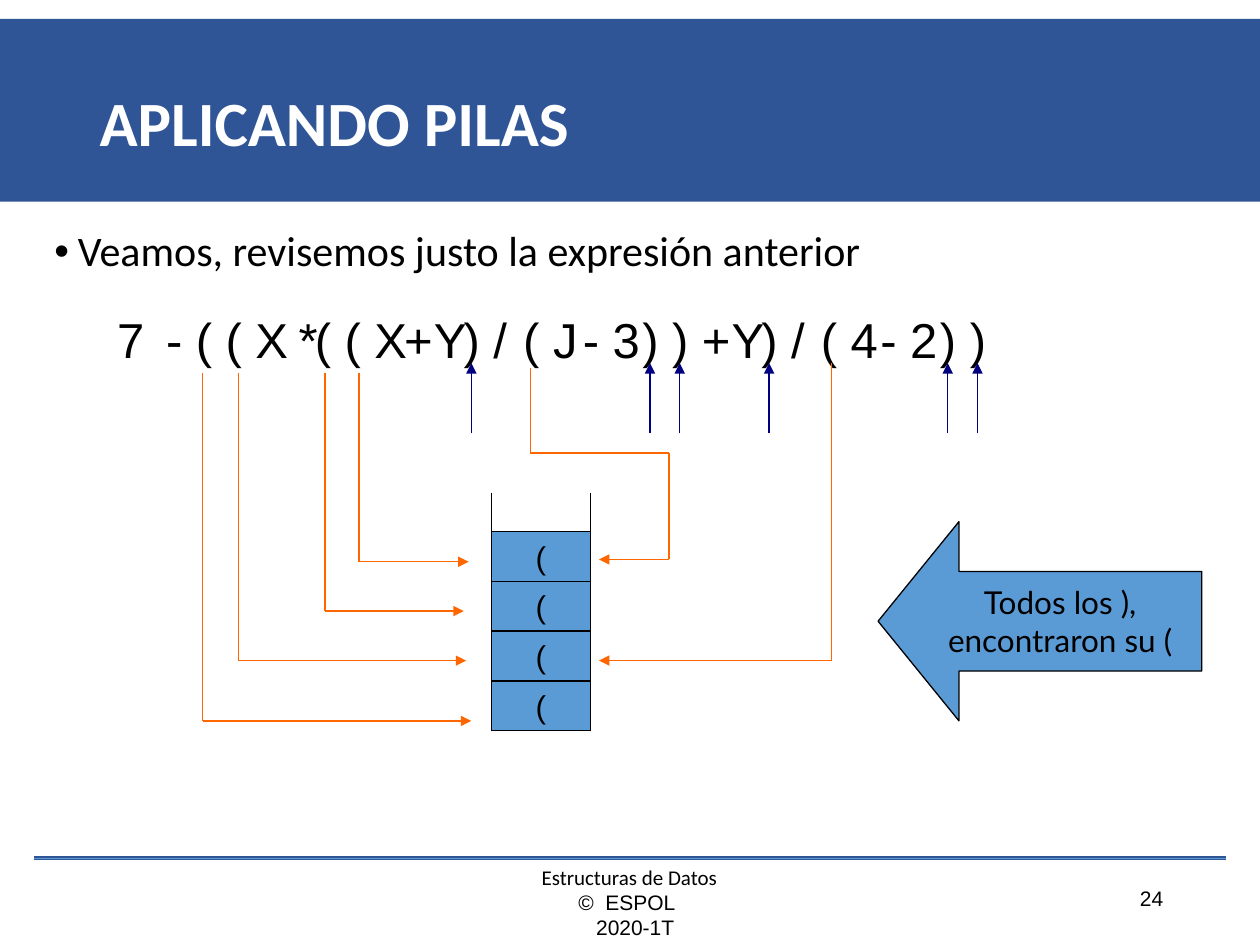
from itertools import pairwise

from lxml import etree
from pptx import Presentation
from pptx.dml import color
from pptx.enum import shapes, text
from pptx.oxml import ns
from pptx.util import Pt

BLACK, WHITE, NAVY = "000000", "FFFFFF", "000080"
BAND, BLUE, ORANGE = "2F5597", "5B9BD5", "FF6600"
LEFT, CENTER, RIGHT = text.PP_ALIGN.LEFT, text.PP_ALIGN.CENTER, text.PP_ALIGN.RIGHT
TOP, MIDDLE = text.MSO_ANCHOR.TOP, text.MSO_ANCHOR.MIDDLE
TOKENS = ["-", "(", "(", "X", " *", "(", "(", "X", "+", "Y", ")", "/", "(", "J",
          "-", "3", ")", ")", "+", "Y", ")", "/", "(", "4", "-", "2", ")", ")"]
PITCH = 17.01


def rgb(value):
    return color.RGBColor.from_string(value)


def pts(*values):
    return [Pt(v) for v in values]


def write(sp, content, size=12, font="Arial", ink=BLACK, bold=False, align=LEFT,
          anchor=TOP, wrap=True, spacing=None):
    tf = sp.text_frame
    tf.word_wrap = wrap
    tf.auto_size = text.MSO_AUTO_SIZE.NONE
    tf.vertical_anchor = anchor
    tf.text = content
    for p in tf.paragraphs:
        p.alignment = align
        p.space_before = Pt(0)
        p.line_spacing = spacing
        for r in p.runs:
            r.font.size, r.font.name, r.font.bold = Pt(size), font, bold
            r.font.color.rgb = rgb(ink)
    return tf


def place(sp, x, y, w, h):
    sp.left, sp.top, sp.width, sp.height = pts(x, y, w, h)


def add_label(s, box, content, **fmt):
    return write(s.shapes.add_textbox(*pts(*box)), content, **fmt)


def add_filled(s, kind, box, fill, border=None):
    sp = s.shapes.add_shape(kind, *pts(*box))
    sp.shadow.inherit = False
    sp.fill.solid()
    sp.fill.fore_color.rgb = rgb(fill)
    if border:
        sp.line.color.rgb = rgb(border)
        sp.line.width = Pt(0.75)
    else:
        sp.line.fill.background()
    return sp


def add_path(s, points, ink, width=0.75, arrow=False):
    for start, end in pairwise(points):
        cx = s.shapes.add_connector(shapes.MSO_CONNECTOR.STRAIGHT, *pts(*start, *end))
        cx.line.color.rgb = rgb(ink)
        cx.line.width = Pt(width)
        etree.SubElement(cx.element.spPr, ns.qn("a:effectLst"))
    if arrow:
        ln = cx.line._get_or_add_ln()
        etree.SubElement(ln, ns.qn("a:tailEnd"), type="triangle")


def add_header(s, x, y, w, h):
    band = add_filled(s, shapes.MSO_SHAPE.RECTANGLE, (x, y, w, h), BAND)
    s.shapes.element.insert(2, band.element)
    title = s.shapes.title
    place(title, x + 49.7, y + 18, 621.4, h - 18)
    write(title, "APLICANDO PILAS", size=36, font="Calibri", ink=WHITE, bold=True,
          anchor=MIDDLE, spacing=0.9)


def add_body(s, x, y, w, h):
    body = s.placeholders[1]
    place(body, x, y, w, h)
    tf = write(body, "Veamos, revisemos justo la expresión anterior", size=24,
               font="Calibri", spacing=0.9)
    pPr = tf.paragraphs[0]._p.get_or_add_pPr()
    pPr.set("marL", str(Pt(13.5)))
    pPr.set("indent", str(-Pt(13.5)))
    etree.SubElement(pPr, ns.qn("a:buFont"), typeface="Arial")
    etree.SubElement(pPr, ns.qn("a:buChar"), char="•")


def add_expression(s, x, y, w, h):
    add_label(s, (x, y, w, h), "7", size=28)
    for i, token in enumerate(TOKENS):
        left = x + 28 + i * PITCH
        add_label(s, (left, y, w, h), token, size=28)
        if token == ")":
            mid = left + 11.5
            add_path(s, [(mid, y + 74.2), (mid, y + 34)], NAVY, arrow=True)


def add_stack(s, x, y, w, h):
    add_path(s, [(x, y), (x, y + h), (x + w, y + h), (x + w, y)], BLACK)
    cell = 28.4
    for i in range(4):
        sp = add_filled(s, shapes.MSO_SHAPE.RECTANGLE,
                        (x, y + h - (i + 1) * cell, w, cell), BLUE, BLACK)
        write(sp, "(", size=18, align=CENTER, anchor=MIDDLE, wrap=False)

    top = y - 68.5
    for start, level, end in [(-165, 130.5, -11.5), (-144.7, 96, -14.4),
                              (-95, 67.7, -15.8), (-75.6, 39.5, -13)]:
        add_path(s, [(x + start, top), (x + start, y + level), (x + end, y + level)],
                 ORANGE, arrow=True)
    end = x + w + 5
    add_path(s, [(x + 22.3, top - 2.8), (x + 22.3, y - 22.7), (x + 101.5, y - 22.7),
                 (x + 101.5, y + 38.2), (end, y + 38.2)], ORANGE, arrow=True)
    add_path(s, [(x + 194.4, top - 5.6), (x + 194.4, y + 96), (end, y + 96)],
             ORANGE, arrow=True)


def add_callout(s, x, y, w, h):
    sp = add_filled(s, shapes.MSO_SHAPE.LEFT_ARROW, (x, y, w, h), BLUE, BLACK)
    sp.adjustments[0], sp.adjustments[1] = 0.5, 0.406
    write(sp, "Todos los ), encontraron su (", size=18, font="Lato", align=CENTER,
          anchor=MIDDLE)


def add_footer(s, x, y, w, h):
    for ink, width in [(BAND, 2.25), (BLUE, 0.5)]:
        add_path(s, [(x, y), (x + w, y)], ink, width)
    tf = add_label(s, (x + 214.6, y, 251.3, h),
                   "Estructuras de Datos\n©  ESPOL \n2020-1T", align=CENTER)
    tf.paragraphs[0].runs[0].font.name = "Calibri"
    tf.paragraphs[2]._p.get_or_add_pPr().set("marL", str(Pt(6.67)))
    add_label(s, (x + 499, y + 12.3, 153.4, 21.6), "24", align=RIGHT)


def main():
    prs = Presentation()
    prs.slide_width, prs.slide_height = pts(720, 540)
    s = prs.slides.add_slide(prs.slide_layouts[1])
    add_header(s, 0, 10.8, 720, 104.4)
    add_body(s, 23.8, 128.2, 648, 82.8)
    add_callout(s, 501.8, 298.1, 185, 113.8)
    add_expression(s, 59.8, 173.5, 39.6, 41)
    add_stack(s, 280.8, 281.5, 56.5, 136)
    add_footer(s, 19.4, 490.3, 681.2, 50.4)
    prs.save("out.pptx")


if __name__ == "__main__":
    main()
